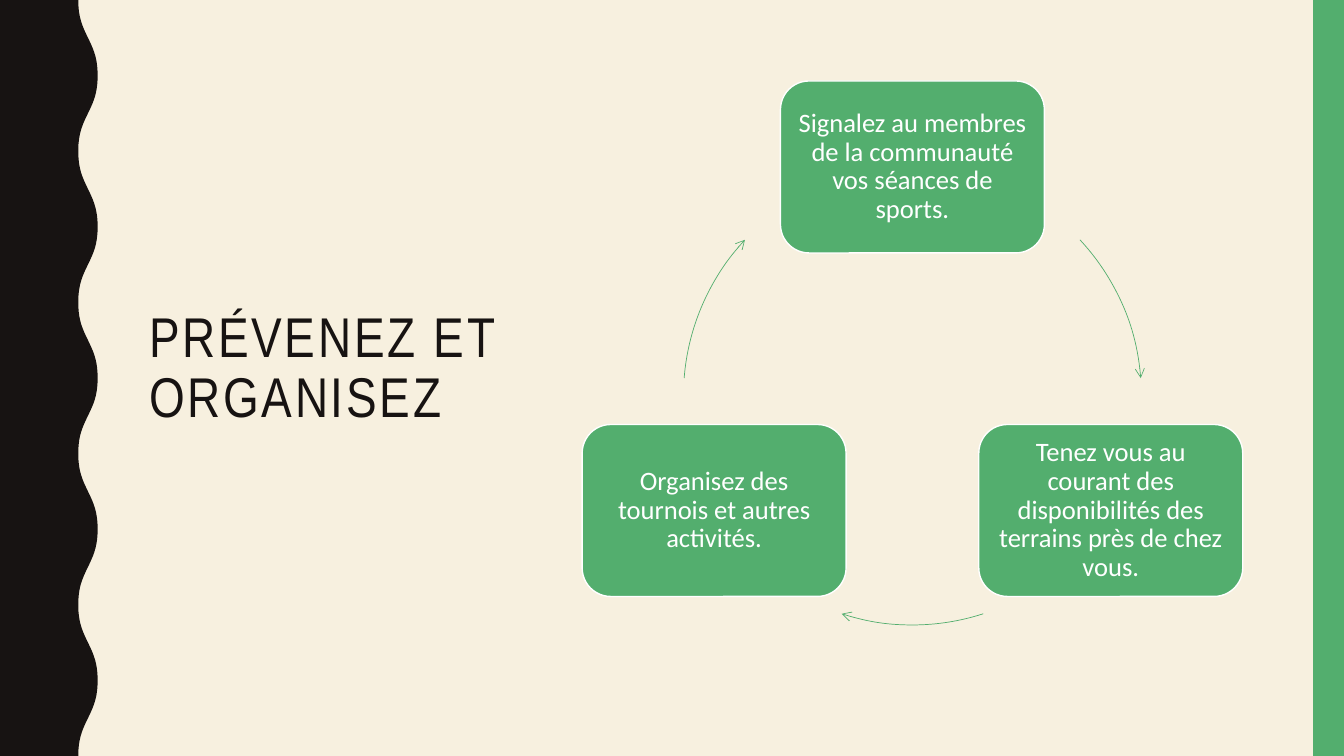
"""Build a slide with a title beside a three-step cycle."""
from math import cos, pi, radians, sin

from lxml.etree import SubElement
from pptx import Presentation
from pptx.dml.color import RGBColor
from pptx.enum.shapes import MSO_SHAPE as Kind
from pptx.enum.text import MSO_ANCHOR as Anchor, PP_ALIGN as Align
from pptx.oxml.ns import qn
from pptx.util import Emu, Pt

TITLE = "PRÉVENEZ ET ORGANISEZ"
STEPS = [
    "Signalez au membres de la communauté vos séances de sports.",
    "Tenez vous au courant des disponibilités des terrains près de chez vous.",
    "Organisez des tournois et autres activités.",
]
ARCS = [(-43, -4.5), (72, 108), (184.5, 223)]
CREAM, DARK, GREEN, WHITE = "F7F0DF", "171312", "53AE6E", "FFFFFF"
WIDE, HIGH = 1344, 756
MID_X, MID_Y, RADIUS = 912.5, 396, 229
BOX_W, BOX_H = 264, 172
WAVES, EDGE = 5, 88


def px(num):
    return Emu(round(num * 914400 / 100.8))


def tint(code):
    return RGBColor.from_string(code)


def paint(shape, fill=None, line=None, width=1):
    shape.shadow.inherit = False
    if fill:
        shape.fill.solid()
        shape.fill.fore_color.rgb = tint(fill)
    else:
        shape.fill.background()
    if line:
        shape.line.color.rgb = tint(line)
        shape.line.width = Pt(width)
    else:
        shape.line.fill.background()


def write(shape, text, face, size, color, align, pad):
    frame = shape.text_frame
    frame.text = text
    look = {"word_wrap": True, "vertical_anchor": Anchor.MIDDLE}
    look.update({"margin_" + side: px(pad) for side in ("left", "top", "right", "bottom")})
    for name, value in look.items():
        setattr(frame, name, value)
    para = frame.paragraphs[0]
    para.alignment, para.line_spacing = align, 0.9
    run = para.runs[0]
    for name, value in {"name": face, "size": Pt(size), "bold": False}.items():
        setattr(run.font, name, value)
    run.font.color.rgb = tint(color)
    return run


def block(kind, left, top, width, height):
    return slide.shapes.add_shape(kind, *map(px, (left, top, width, height)))


def ripple(y):
    turn = 2 * pi * WAVES * y / HIGH
    return EDGE - 10.2 * cos(turn) + 0.5 * cos(3 * turn), y


deck = Presentation()
deck.slide_width, deck.slide_height = px(WIDE), px(HIGH)
slide = deck.slides.add_slide(deck.slide_layouts[5])
slide.background.fill.solid()
slide.background.fill.fore_color.rgb = tint(CREAM)

wave = [ripple(y) for y in range(0, HIGH + 1, 4)] + [(0, HIGH)]
pen = slide.shapes.build_freeform(0, 0)
pen.add_line_segments([(px(x), px(y)) for x, y in wave])
paint(pen.convert_to_shape(), DARK)
paint(block(Kind.RECTANGLE, 1313, 0, 31, HIGH), GREEN)

title = slide.shapes.title
title.left, title.top, title.width, title.height = map(px, (139, 71, 373, 597))
run = write(title, TITLE, "Arial Narrow", 40, DARK, Align.LEFT, 10)
run.font._element.set("spc", "200")

for n, (text, arc) in enumerate(zip(STEPS, ARCS)):
    turn = radians(120 * n - 90)
    x, y = MID_X + RADIUS * cos(turn), MID_Y + RADIUS * sin(turn)
    box = block(Kind.ROUNDED_RECTANGLE, x - BOX_W / 2, y - BOX_H / 2, BOX_W, BOX_H)
    paint(box, GREEN, WHITE)
    write(box, text, "Calibri", 19, WHITE, Align.CENTER, 8)
    arrow = block(Kind.ARC, MID_X - RADIUS, MID_Y - RADIUS, 2 * RADIUS, 2 * RADIUS)
    for k, angle in enumerate(arc):
        arrow.adjustments[k] = angle % 360 * 0.6
    paint(arrow, None, GREEN, 0.5)
    SubElement(arrow._element.spPr.find(qn("a:ln")), qn("a:tailEnd"), type="arrow")

deck.save("out.pptx")
